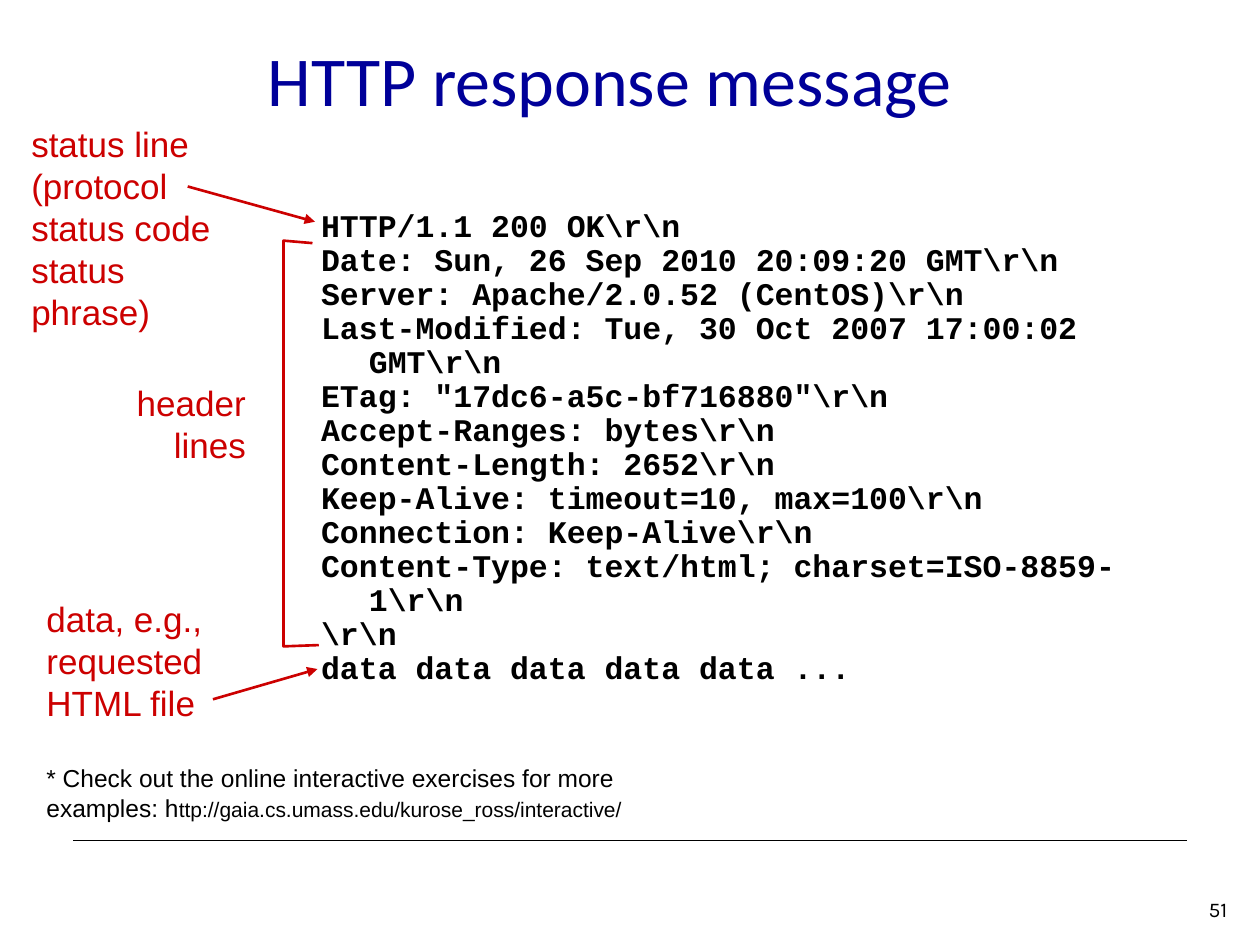
from pptx import Presentation
from pptx.dml.color import RGBColor
from pptx.enum.shapes import MSO_CONNECTOR
from pptx.enum.text import MSO_ANCHOR, PP_ALIGN
from pptx.oxml.ns import qn
from pptx.util import Inches, Pt
from lxml import etree

LEFT, CENTER, RIGHT = PP_ALIGN.LEFT, PP_ALIGN.CENTER, PP_ALIGN.RIGHT
MIDDLE, TOP = MSO_ANCHOR.MIDDLE, MSO_ANCHOR.TOP
STRAIGHT = MSO_CONNECTOR.STRAIGHT

BLACK, RED, NAVY = "000000", "CC0000", "000099"

RESPONSE_LINES = [
    r"HTTP/1.1 200 OK\r\n",
    r"Date: Sun, 26 Sep 2010 20:09:20 GMT\r\n",
    r"Server: Apache/2.0.52 (CentOS)\r\n",
    r"Last-Modified: Tue, 30 Oct 2007 17:00:02 GMT\r\n",
    r'ETag: "17dc6-a5c-bf716880"\r\n',
    r"Accept-Ranges: bytes\r\n",
    r"Content-Length: 2652\r\n",
    r"Keep-Alive: timeout=10, max=100\r\n",
    r"Connection: Keep-Alive\r\n",
    r"Content-Type: text/html; charset=ISO-8859-1\r\n",
    r"\r\n",
    "data data data data data ...",
]


def color(value):
    return RGBColor.from_string(value)


class SlideBuilder:
    body_font = "Arial"
    title_font = "Calibri"
    code_font = "Courier New"
    number_font = "Karla"
    hanging_indent = Inches(0.38)

    def __init__(self, presentation):
        self.slide = presentation.slides.add_slide(presentation.slide_layouts[5])

    def format_run(self, run, size, name, fill, bold=False):
        run.font.size = Pt(size)
        run.font.name = name
        run.font.bold = bold
        run.font.color.rgb = color(fill)

    def title(self, text, left, top, width, height):
        shape = self.slide.shapes.title
        shape.left, shape.top = Inches(left), Inches(top)
        shape.width, shape.height = Inches(width), Inches(height)
        frame = shape.text_frame
        frame.text = text
        frame.vertical_anchor = MIDDLE
        paragraph = frame.paragraphs[0]
        paragraph.alignment = CENTER
        self.format_run(paragraph.runs[0], 40, self.title_font, NAVY)

    def text(self, lines, left, top, width, height, size=20, name=None,
             fill=RED, align=LEFT, bold=False):
        box = self.slide.shapes.add_textbox(
            Inches(left), Inches(top), Inches(width), Inches(height))
        frame = box.text_frame
        frame.word_wrap = True
        frame.vertical_anchor = TOP
        frame.text = "\n".join(lines)
        for paragraph in frame.paragraphs:
            paragraph.alignment = align
            for run in paragraph.runs:
                self.format_run(run, size, name or self.body_font, fill, bold)
        return frame

    def code(self, lines, left, top, width, height):
        frame = self.text(lines, left, top, width, height, size=18,
                          name=self.code_font, fill=BLACK, bold=True)
        for paragraph in frame.paragraphs:
            paragraph.line_spacing = 0.9
            properties = paragraph._p.get_or_add_pPr()
            properties.set("marL", str(self.hanging_indent))
            properties.set("indent", str(-self.hanging_indent))

    def line(self, start, end, fill=RED, width=1.5, arrow=False):
        connector = self.slide.shapes.add_connector(
            STRAIGHT, *(Inches(value) for value in (*start, *end)))
        connector.line.color.rgb = color(fill)
        connector.line.width = Pt(width)
        if arrow:
            outline = connector.line._get_or_add_ln()
            etree.SubElement(outline, qn("a:tailEnd"), type="triangle")
        etree.SubElement(connector._element.spPr, qn("a:effectLst"))

    def bracket(self, points):
        start, *others = [(Inches(x), Inches(y)) for x, y in points]
        builder = self.slide.shapes.build_freeform(*start)
        builder.add_line_segments(others, close=False)
        shape = builder.convert_to_shape()
        shape.shadow.inherit = False
        shape.fill.background()
        shape.line.color.rgb = color(RED)
        shape.line.width = Pt(1.5)


def main():
    presentation = Presentation()
    presentation.slide_width, presentation.slide_height = Inches(10), Inches(7.5)
    builder = SlideBuilder(presentation)

    # Footer rule, slide number and title
    builder.line((0.58, 6.67), (9.42, 6.67), fill=BLACK, width=0.75)
    builder.text(["51"], 9.1, 7.07, 0.74, 0.3, size=12,
                 name=builder.number_font, fill=BLACK, align=RIGHT)
    builder.title("HTTP response message", 0.59, 0.09, 8.5, 1.07)

    # Status line label
    builder.text(["status line", "(protocol", "status code", "status phrase)"],
                 0.15, 0.92, 1.9, 1.77)
    builder.line((1.49, 1.48), (2.5, 1.76), arrow=True)

    # Header lines label and bracket
    builder.bracket([(2.48, 1.93), (2.25, 1.91), (2.25, 5.13), (2.53, 5.12)])
    builder.text(["header", "lines"], 0.98, 2.98, 1.07, 0.77, align=RIGHT)

    # Data label
    builder.line((1.69, 5.55), (2.52, 5.31), arrow=True)
    builder.text(["data, e.g.,", "requested", "HTML file"], 0.27, 4.69, 1.51, 1.1)

    # Response message
    builder.code(RESPONSE_LINES, 2.45, 1.62, 6.9, 3.89)

    # Footnote, with the address in smaller type
    footnote = builder.text(
        ["* Check out the online interactive exercises for more examples: h"],
        0.27, 6.01, 4.93, 0.57, size=14, fill=BLACK)
    address = footnote.paragraphs[0].add_run()
    address.text = "ttp://gaia.cs.umass.edu/kurose_ross/interactive/"
    builder.format_run(address, 12, builder.body_font, BLACK)

    presentation.save("out.pptx")


if __name__ == "__main__":
    main()
